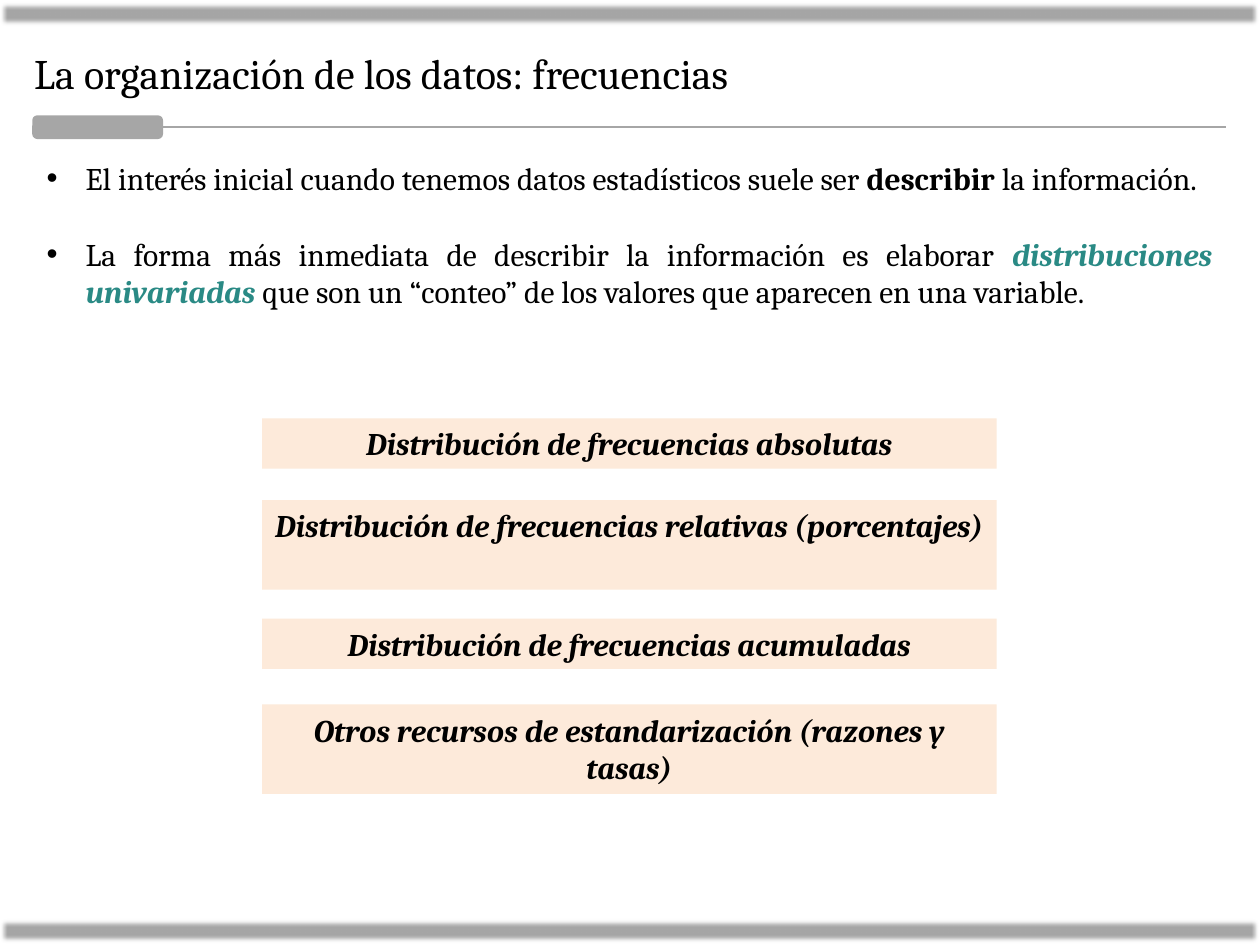
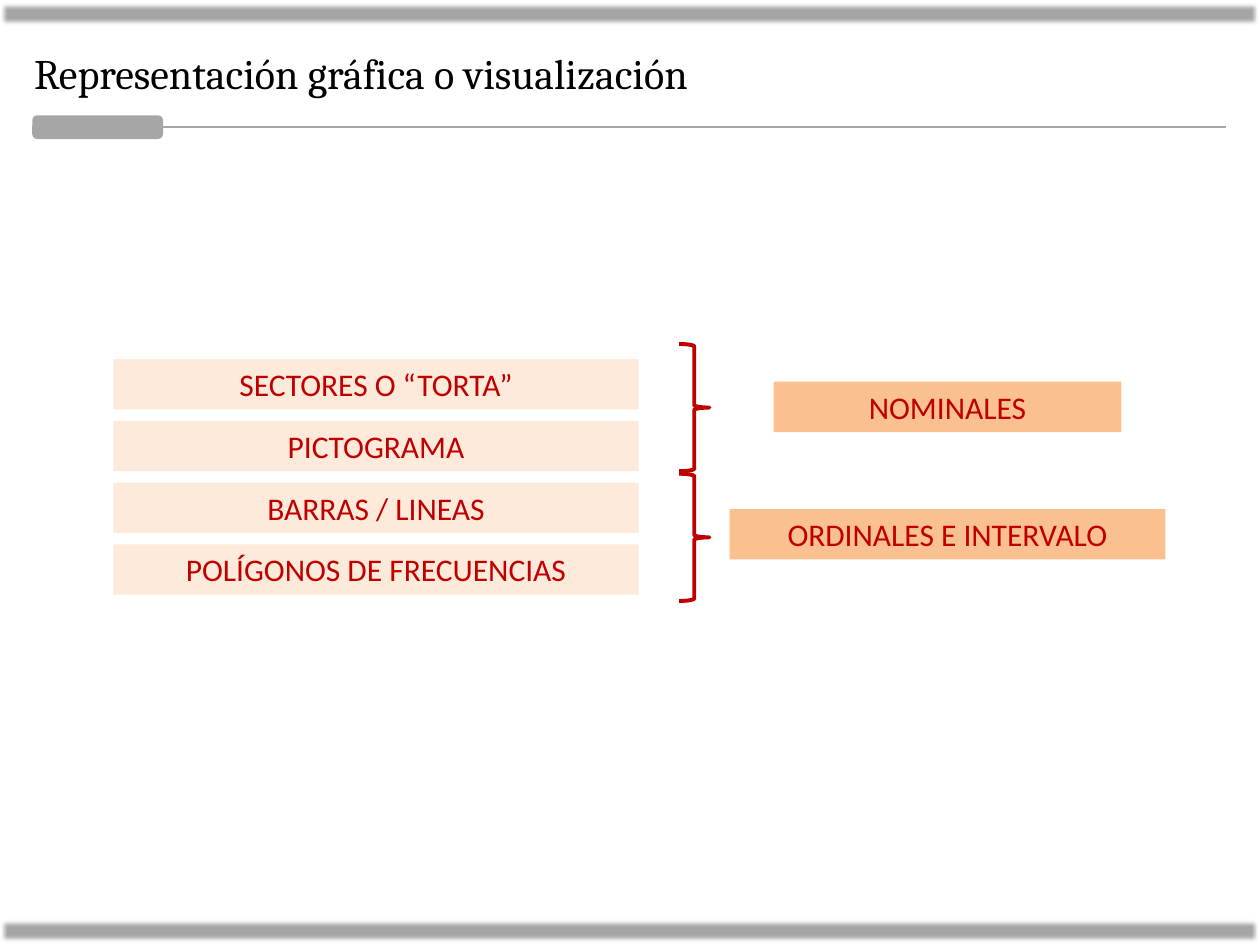
import pptx
import pptx.util
import pptx.dml.color
import pptx.enum.shapes
import pptx.enum.text
from lxml import etree
from pptx.oxml.ns import qn

Inches = pptx.util.Inches
Pt = pptx.util.Pt
RGBColor = pptx.dml.color.RGBColor
SHAPE = pptx.enum.shapes.MSO_SHAPE
ALIGN = pptx.enum.text.PP_ALIGN
ANCHOR = pptx.enum.text.MSO_ANCHOR

BLACK = RGBColor(0x00, 0x00, 0x00)
GRAY = RGBColor(0xA6, 0xA6, 0xA6)
TEAL = RGBColor(0x2A, 0x8A, 0x85)
RED = RGBColor(0xC0, 0x00, 0x00)
PEACH = RGBColor(0xFD, 0xEA, 0xDA)
ORANGE = RGBColor(0xFA, 0xC0, 0x90)

SERIF, SANS = "Cambria", "Calibri"
TITLE_ONLY, TITLE_AND_BODY = 5, 1


class Deck:
    """Holds the shared style and the slide being built."""

    def __init__(self):
        self.prs = pptx.Presentation()
        self.prs.slide_width = Inches(10)
        self.prs.slide_height = Inches(7.5)
        self.slide = None

    def new_slide(self, layout, title):
        self.slide = self.prs.slides.add_slide(self.prs.slide_layouts[layout])
        heading = self.slide.shapes.title
        self.place(heading, 0.17, 0.33, 9.56, 0.5)
        paragraph = heading.text_frame.paragraphs[0]
        paragraph.alignment = ALIGN.LEFT
        self.run(paragraph, title, size=24)
        self.frame()

    def frame(self):
        """Soft bands at both edges, and the rule under the title."""
        for top in (0.01, 7.29):
            band = self.shape(SHAPE.RECTANGLE, 0, top, 10, 0.2, fill=GRAY)
            effects = band.element.spPr.find(qn("a:effectLst"))
            etree.SubElement(effects, qn("a:softEdge"), rad=str(Pt(2.5)))
        self.shape(SHAPE.ROUNDED_RECTANGLE, 0.27, 0.93, 1.01, 0.16,
                   fill=GRAY, line=GRAY, weight=2)
        self.rule(1.23, 9.73, 1.01)

    def place(self, holder, left, top, width, height):
        holder.left, holder.top = Inches(left), Inches(top)
        holder.width, holder.height = Inches(width), Inches(height)
        text = holder.text_frame
        text.word_wrap = True
        text.auto_size = pptx.enum.text.MSO_AUTO_SIZE.NONE
        text.vertical_anchor = ANCHOR.TOP

    def run(self, paragraph, text, size=18, font=SERIF, color=BLACK,
            bold=False, italic=False):
        run = paragraph.add_run()
        run.text = text
        run.font.name = font
        run.font.size = Pt(size)
        run.font.color.rgb = color
        run.font.bold = bold
        run.font.italic = italic

    def shape(self, kind, left, top, width, height,
              fill=None, line=None, weight=1):
        shape = self.slide.shapes.add_shape(
            kind, Inches(left), Inches(top), Inches(width), Inches(height))
        shape.shadow.inherit = False
        if fill is None:
            shape.fill.background()
        else:
            shape.fill.solid()
            shape.fill.fore_color.rgb = fill
        if line is None:
            shape.line.fill.background()
        else:
            shape.line.color.rgb = line
            shape.line.width = Pt(weight)
        return shape

    def rule(self, start, end, y):
        rule = self.slide.shapes.add_connector(
            pptx.enum.shapes.MSO_CONNECTOR.STRAIGHT,
            Inches(start), Inches(y), Inches(end), Inches(y))
        rule.line.color.rgb = GRAY
        rule.line.width = Pt(1.25)
        etree.SubElement(rule._element.spPr, qn("a:effectLst"))

    def label(self, text, left, top, width, height=0.4, fill=PEACH, **style):
        box = self.shape(SHAPE.RECTANGLE, left, top, width, height, fill=fill)
        box.text_frame.word_wrap = True
        box.text_frame.vertical_anchor = ANCHOR.TOP
        paragraph = box.text_frame.paragraphs[0]
        paragraph.alignment = ALIGN.CENTER
        self.run(paragraph, text, **style)

    def brace(self, left, top, width, height):
        self.shape(SHAPE.RIGHT_BRACE, left, top, width, height,
                   line=RED, weight=2.25)

    def bullets(self, items, left, top, width, height):
        body = self.slide.placeholders[1]
        self.place(body, left, top, width, height)
        text = body.text_frame
        for index, runs in enumerate(items):
            paragraph = text.add_paragraph() if index else text.paragraphs[0]
            properties = paragraph._p.get_or_add_pPr()
            properties.set("marL", str(Inches(0.31)))
            properties.set("indent", str(-Inches(0.31)))
            paragraph.alignment = ALIGN.JUSTIFY
            paragraph.space_before = Pt(21.7 if index else 0)
            etree.SubElement(properties, qn("a:buFont"), typeface="Arial")
            etree.SubElement(properties, qn("a:buChar"), char="•")
            paragraph.font.size = Pt(18)
            for words, style in runs:
                self.run(paragraph, words, **style)


def frequencies(deck):
    deck.new_slide(TITLE_AND_BODY, "La organización de los datos: frecuencias")
    deck.bullets([
        [("El interés inicial cuando tenemos datos estadísticos suele ser ", {}),
         ("describir", {"bold": True}),
         (" la información. ", {})],
        [("La forma más inmediata de describir la información es elaborar ", {}),
         ("distribuciones univariadas",
          {"color": TEAL, "bold": True, "italic": True}),
         (" que son un “conteo” de los valores que aparecen en una variable. ",
          {})],
    ], 0.27, 1.21, 9.45, 1.62)

    # Kinds of distribution
    for text, top, height in (
            ("Distribución de frecuencias absolutas", 3.32, 0.4),
            ("Distribución de frecuencias relativas (porcentajes)", 3.97, 0.71),
            ("Distribución de frecuencias acumuladas", 4.91, 0.4),
            ("Otros recursos de estandarización (razones y tasas)", 5.59, 0.71)):
        deck.label(text, 2.08, top, 5.83, height, bold=True, italic=True)


def charts_by_level(deck):
    deck.new_slide(TITLE_ONLY, "Representación gráfica o visualización")
    style = {"font": SANS, "color": RED}

    # Kinds of graph
    graphs = ("SECTORES O “TORTA”", "PICTOGRAMA", "BARRAS / LINEAS",
              "POLÍGONOS DE FRECUENCIAS")
    for row, graph in enumerate(graphs):
        deck.label(graph, 0.9, 2.85 + 0.49 * row, 4.17, **style)

    # Levels of measurement, each beside its pair of graphs
    for level, brace_top, left, top, width in (
            ("NOMINALES", 2.73, 6.14, 3.03, 2.76),
            ("ORDINALES E INTERVALO", 3.76, 5.79, 4.04, 3.46)):
        deck.brace(5.39, brace_top, 0.24, 1.01)
        deck.label(level, left, top, width, fill=ORANGE, **style)


def main():
    deck = Deck()
    frequencies(deck)
    charts_by_level(deck)
    deck.prs.save("out.pptx")


if __name__ == "__main__":
    main()
